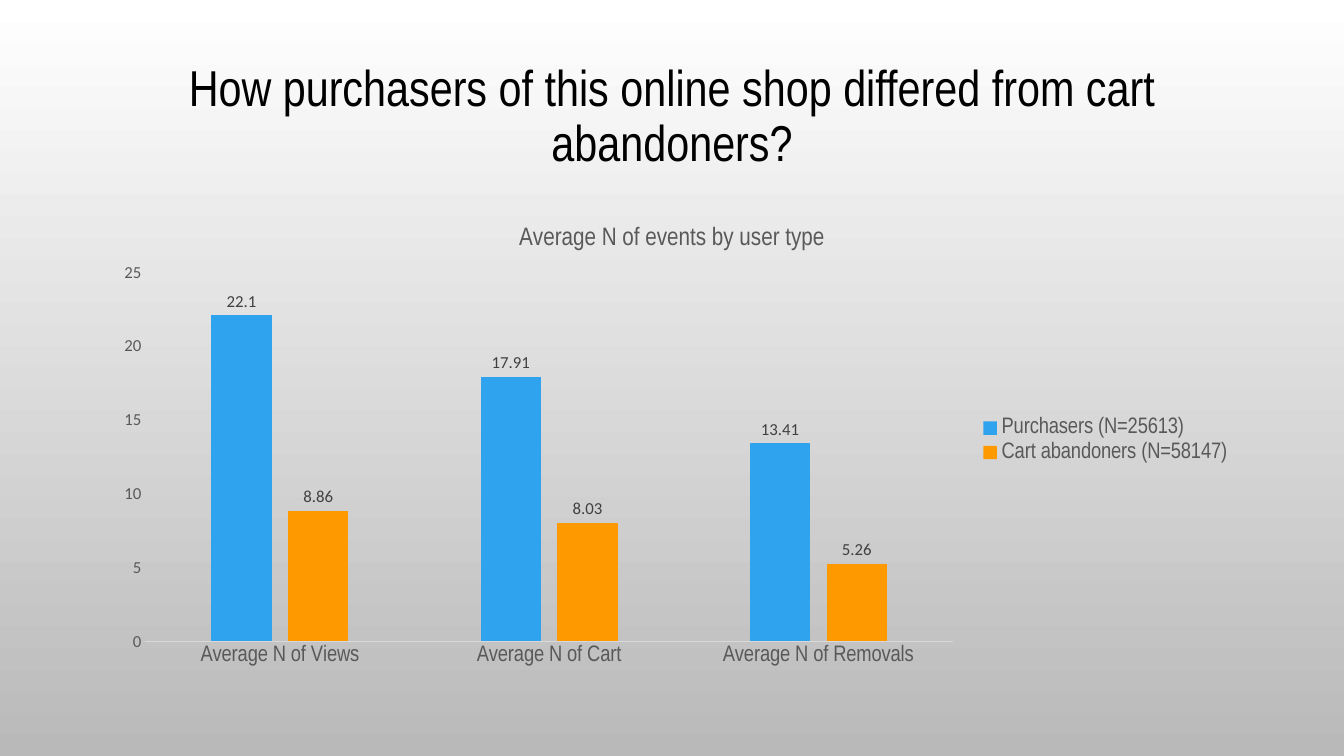
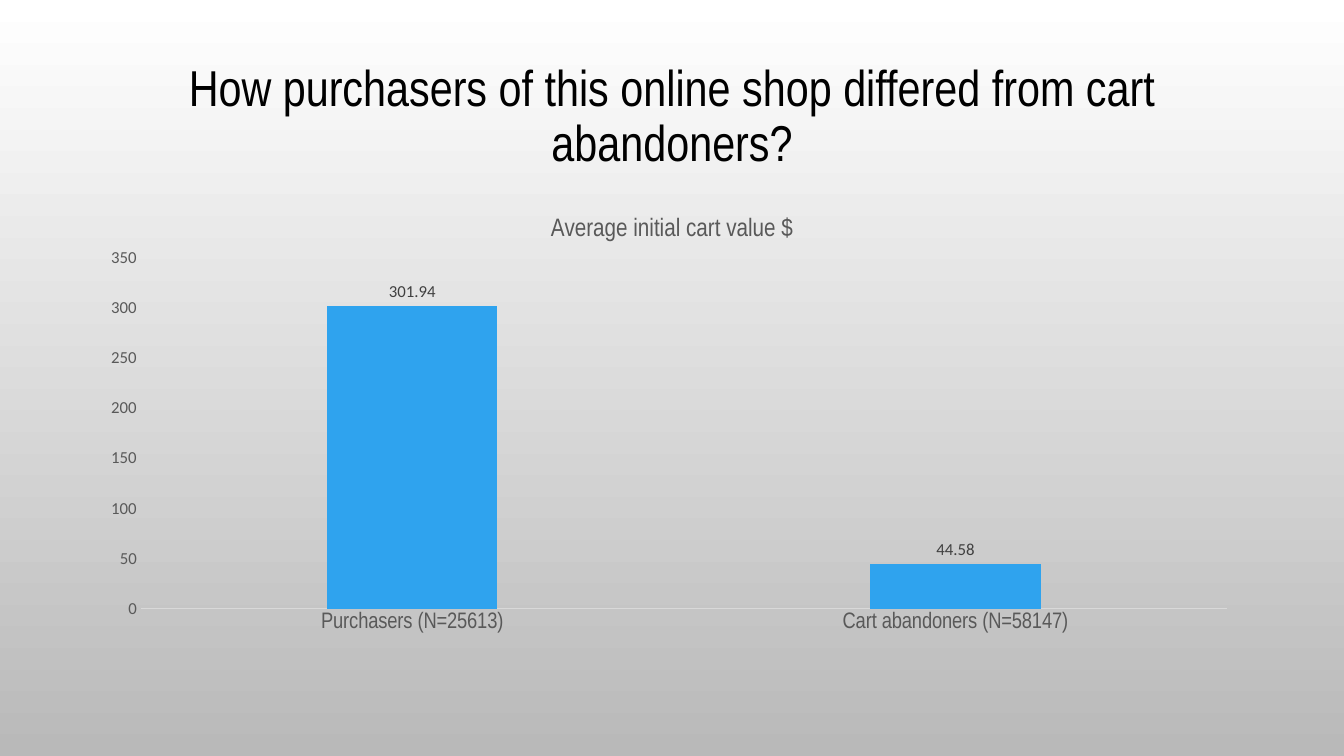
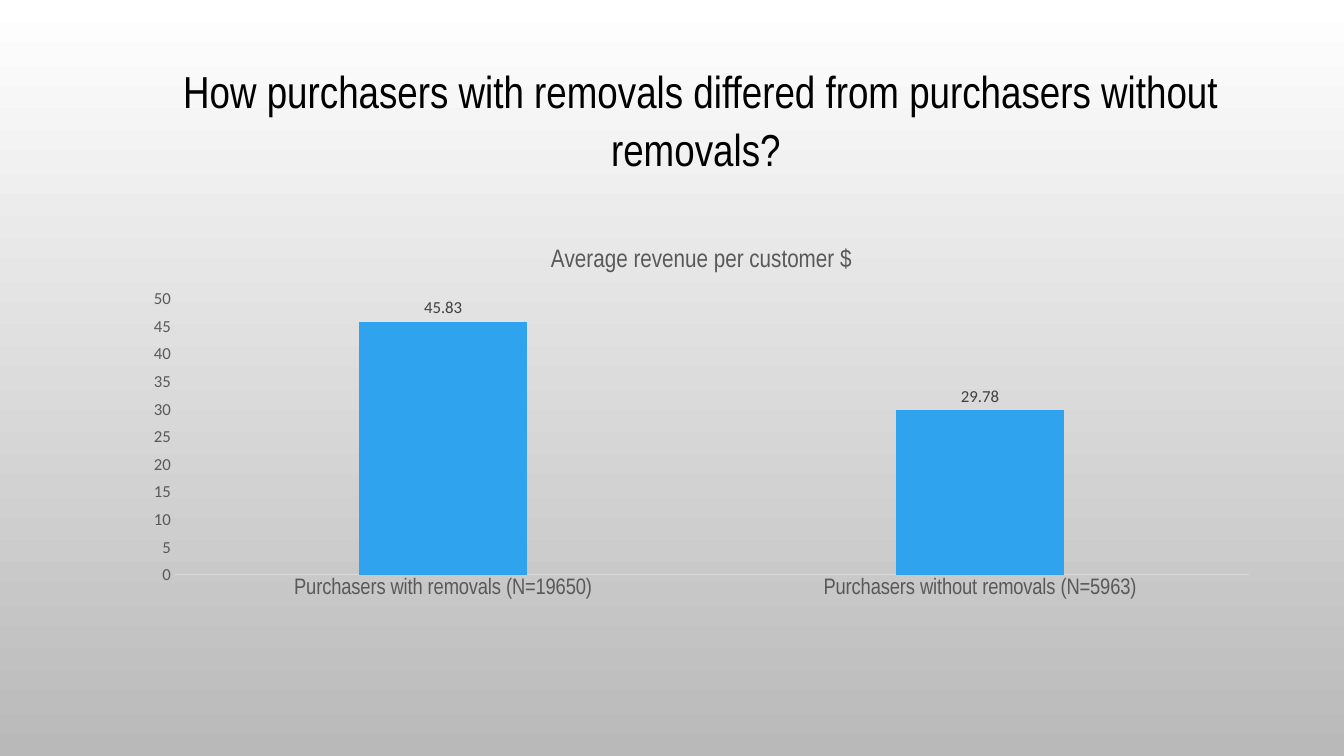
import pptx
import pptx.util
import pptx.dml.color
import pptx.chart.data
import pptx.enum.chart
import pptx.enum.text
from lxml import etree

Pt = pptx.util.Pt
rgb = pptx.dml.color.RGBColor.from_string
kinds = pptx.enum.chart


class Theme:
    ink, text, label, rule = "000000", "595959", "404040", "D9D9D9"
    top, foot = "FFFFFF", "B9B9B9"
    bars = ["2FA3EE", "FF9900"]
    head, body = "Arial Narrow", "Calibri"
    title, names, small, base = 18, 16, 12, 10


def style(font, face, size, color):
    font.name, font.size, font.bold = face, Pt(size), False
    font.color.rgb = rgb(color)


def place(chart, box):
    """Fix the inner plot area; box holds percentages of the chart."""
    area = chart.plots[0]._element.getparent()
    space = etree.QName(area).namespace
    for old in area.findall(f"{{{space}}}layout"):
        area.remove(old)
    layout = etree.Element(f"{{{space}}}layout")
    area.insert(0, layout)
    manual = etree.SubElement(layout, f"{{{space}}}manualLayout")
    rules = [("layoutTarget", "inner"), ("xMode", "edge"), ("yMode", "edge")]
    rules += [(key, str(part / 100)) for key, part in zip("xywh", box)]
    for key, val in rules:
        etree.SubElement(manual, f"{{{space}}}{key}").set("val", val)


# Content: title (text, size, spacing, width), chart and plot boxes, data
buyers, leavers = "Purchasers (N=25613)", "Cart abandoners (N=58147)"
shop = ("How purchasers of this online shop differed from cart abandoners?", 36, 0.9, 816)
removal = ("How purchasers with removals differed from purchasers without removals? ", 32, 1.07, 857.5)
pages = [
    (shop, (72, 147, 816, 335), (3.9, 14.2, 70.7, 78.7),
     "Average N of events by user type",
     ["Average N of Views", "Average N of Cart", "Average N of Removals"],
     {buyers: [22.1, 17.91, 13.41], leavers: [8.86, 8.03, 5.26]}),
    (shop, (72, 140, 816, 353.5), (3.5, 12.4, 95.1, 71),
     "Average initial cart value $",
     [buyers, leavers], {"Series 1": [301.94, 44.58]}),
    (removal, (93, 164, 816, 269), (3.9, 18.4, 94, 73.3),
     "Average revenue per customer $",
     ["Purchasers with removals (N=19650)", "Purchasers without removals (N=5963)"],
     {"Series 1": [45.83, 29.78]}),
]

deck = pptx.Presentation()
deck.slide_width, deck.slide_height = Pt(960), Pt(540)

# Shared background
fill = deck.slide_master.background.fill
fill.gradient()
fill.gradient_angle = 270
for stop, color in zip(fill.gradient_stops, (Theme.top, Theme.foot)):
    stop.color.rgb = rgb(color)

for (words, size, space, width), box, plot_box, name, cats, rows in pages:
    slide = deck.slides.add_slide(deck.slide_layouts[6])

    # Slide title
    frame = slide.shapes.add_textbox(Pt(72), Pt(21), Pt(width), Pt(126)).text_frame
    frame.word_wrap = True
    frame.vertical_anchor = pptx.enum.text.MSO_ANCHOR.MIDDLE
    para = frame.paragraphs[0]
    para.text = words
    para.alignment = pptx.enum.text.PP_ALIGN.CENTER
    para.line_spacing = space
    style(para.font, Theme.head, size, Theme.ink)

    # Column chart
    data = pptx.chart.data.CategoryChartData()
    data.categories = cats
    for key, vals in rows.items():
        data.add_series(key, vals)
    chart = slide.shapes.add_chart(
        kinds.XL_CHART_TYPE.COLUMN_CLUSTERED, *map(Pt, box), data).chart
    style(chart.font, Theme.body, Theme.base, Theme.ink)
    place(chart, plot_box)

    # Chart title and legend
    chart.has_title = True
    para = chart.chart_title.text_frame.paragraphs[0]
    para.text = name
    style(para.font, Theme.head, Theme.title, Theme.text)
    chart.chart_title.include_in_layout = False
    chart.has_legend = len(rows) > 1
    if chart.has_legend:
        chart.legend.position = kinds.XL_LEGEND_POSITION.RIGHT
        chart.legend.include_in_layout = False
        style(chart.legend.font, Theme.head, Theme.names, Theme.text)

    # Axes
    across, up = chart.category_axis, chart.value_axis
    for axis in (across, up):
        axis.has_major_gridlines = False
        axis.major_tick_mark = axis.minor_tick_mark = kinds.XL_TICK_MARK.NONE
    style(across.tick_labels.font, Theme.head, Theme.names, Theme.text)
    style(up.tick_labels.font, Theme.body, Theme.small, Theme.text)
    across.format.line.color.rgb = rgb(Theme.rule)
    across.format.line.width = Pt(0.75)
    up.format.line.fill.background()

    # Bars and their values
    plot = chart.plots[0]
    plot.gap_width, plot.overlap = 219, -27
    plot.vary_by_categories = False
    for row, color in zip(plot.series, Theme.bars):
        row.format.fill.solid()
        row.format.fill.fore_color.rgb = rgb(color)
        labels = row.data_labels
        labels.show_value = True
        labels.position = kinds.XL_LABEL_POSITION.OUTSIDE_END
        style(labels.font, Theme.body, Theme.small, Theme.label)

deck.save("out.pptx")
